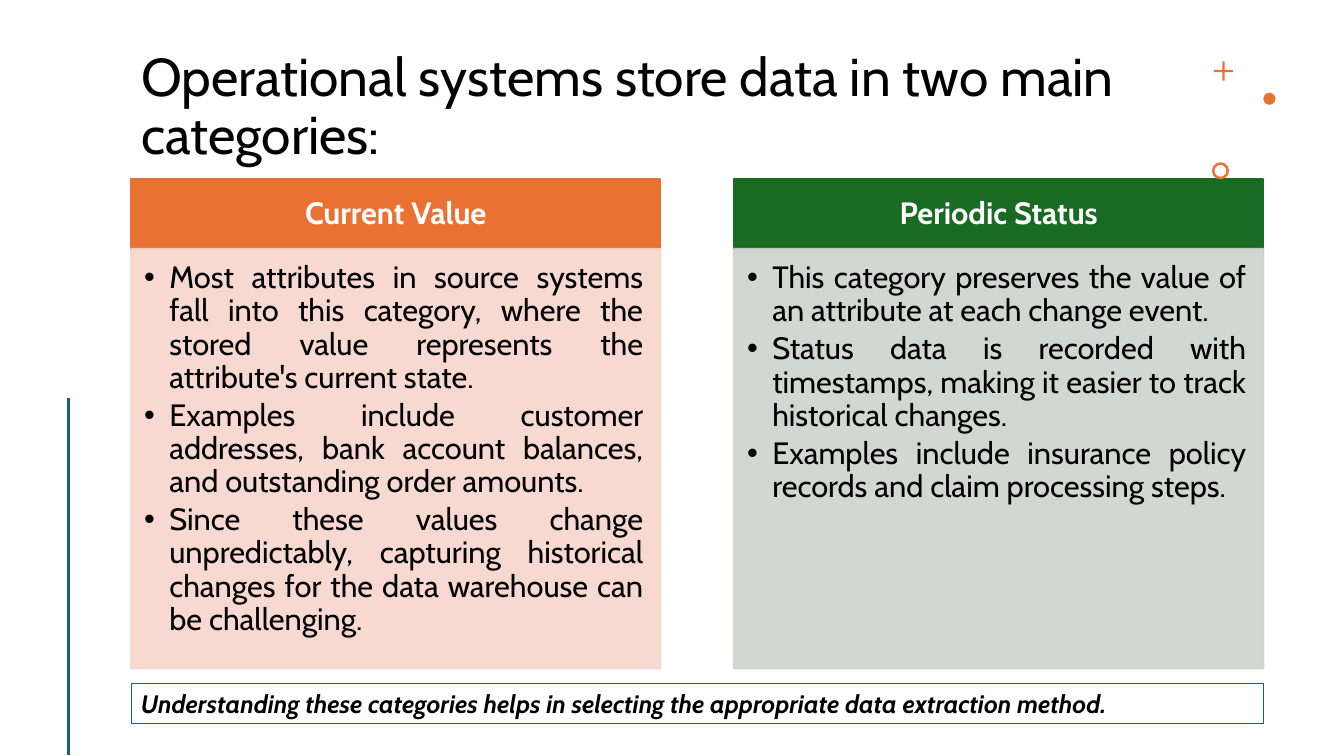
from dataclasses import dataclass

from lxml import etree
from pptx import Presentation
from pptx.dml.color import RGBColor
from pptx.enum.shapes import MSO_CONNECTOR, MSO_SHAPE
from pptx.enum.text import MSO_ANCHOR, MSO_AUTO_SIZE, PP_ALIGN
from pptx.oxml.ns import qn
from pptx.util import Inches, Pt

LEFT, CENTER, JUSTIFY = PP_ALIGN.LEFT, PP_ALIGN.CENTER, PP_ALIGN.JUSTIFY
TOP, MIDDLE = MSO_ANCHOR.TOP, MSO_ANCHOR.MIDDLE
FONT = "Cabin"
COLORS = {
    "orange": "E97132",
    "green": "196B24",
    "pink": "F7D5CE",
    "sage": "CCD4CD",
    "blue": "156082",
    "black": "000000",
    "white": "FFFFFF",
}
COLUMN_LEFT, COLUMN_STEP, COLUMN_WIDTH = 1.3, 5.98, 5.25
HEADER_TOP, HEADER_HEIGHT, BODY_HEIGHT = 1.78, 0.69, 4.16


@dataclass
class Category:
    heading: str
    points: list[str]
    header_color: str
    body_color: str


@dataclass
class Ornament:
    kind: MSO_SHAPE
    left: float
    top: float
    size: float
    adjustment: float | None = None


CATEGORIES = [
    Category(
        "Current Value",
        [
            "Most attributes in source systems fall into this category, where the "
            "stored value represents the attribute's current state.",
            "Examples include customer addresses, bank account balances, and "
            "outstanding order amounts.",
            "Since these values change unpredictably, capturing historical changes "
            "for the data warehouse can be challenging.",
        ],
        "orange",
        "pink",
    ),
    Category(
        "Periodic Status",
        [
            "This category preserves the value of an attribute at each change event.",
            "Status data is recorded with timestamps, making it easier to track "
            "historical changes.",
            "Examples include insurance policy records and claim processing steps.",
        ],
        "green",
        "sage",
    ),
]
ORNAMENTS = [
    Ornament(MSO_SHAPE.CROSS, 12.04, 0.61, 0.19, 0.44),
    Ornament(MSO_SHAPE.OVAL, 12.53, 0.92, 0.12),
    Ornament(MSO_SHAPE.DONUT, 12.02, 1.61, 0.17, 0.15),
]


def rgb(name: str) -> RGBColor:
    return RGBColor.from_string(COLORS[name])


def place(shape, left: float, top: float, width: float, height: float) -> None:
    shape.left, shape.top = Inches(left), Inches(top)
    shape.width, shape.height = Inches(width), Inches(height)


def write(shape, text: str, size: float, align: PP_ALIGN, anchor: MSO_ANCHOR,
          color: str = "black", bold: bool = False, italic: bool = False,
          line_spacing: float = 0.9, space_after: float = 0) -> None:
    """Fill the shape with one paragraph per line of text and format it."""
    frame = shape.text_frame
    frame.text = text
    frame.word_wrap = True
    frame.auto_size = MSO_AUTO_SIZE.NONE
    frame.vertical_anchor = anchor
    for paragraph in frame.paragraphs:
        paragraph.alignment = align
        paragraph.line_spacing = line_spacing
        paragraph.space_before = Pt(0)
        paragraph.space_after = Pt(space_after)
        for run in paragraph.runs:
            font = run.font
            font.name, font.size = FONT, Pt(size)
            font.bold, font.italic = bold, italic
            font.color.rgb = rgb(color)


def set_insets(shape, left: float, top: float, right: float, bottom: float) -> None:
    frame = shape.text_frame
    frame.margin_left, frame.margin_top = Inches(left), Inches(top)
    frame.margin_right, frame.margin_bottom = Inches(right), Inches(bottom)


def paint(shape, color: str, opacity: int = 100) -> None:
    """Give fill and outline the same colour and opacity in percent."""
    shape.fill.solid()
    shape.fill.fore_color.rgb = rgb(color)
    shape.line.color.rgb = rgb(color)
    shape.line.width = Pt(1.5)
    if opacity < 100:
        for element in shape._element.spPr.iter(qn("a:srgbClr")):
            etree.SubElement(element, qn("a:alpha"), val=str(opacity * 1000))


def fill_column(header, body, category: Category, left: float) -> None:
    place(header, left, HEADER_TOP, COLUMN_WIDTH, HEADER_HEIGHT)
    paint(header, category.header_color)
    set_insets(header, 0.17, 0.1, 0.17, 0.1)
    write(header, category.heading, 22, CENTER, MIDDLE, "white", bold=True)

    place(body, left, HEADER_TOP + HEADER_HEIGHT, COLUMN_WIDTH, BODY_HEIGHT)
    paint(body, category.body_color, opacity=90)
    set_insets(body, 0.13, 0.13, 0.17, 0.19)
    write(body, "\n".join(category.points), 22, JUSTIFY, TOP, space_after=3.3)
    for paragraph in body.text_frame.paragraphs:
        properties = paragraph._p.get_or_add_pPr()
        properties.set("marL", str(Inches(0.25)))
        properties.set("indent", str(-Inches(0.25)))
        etree.SubElement(properties, qn("a:buChar"), char="•")


def add_ornament(slide, ornament: Ornament) -> None:
    size = Inches(ornament.size)
    shape = slide.shapes.add_shape(
        ornament.kind, Inches(ornament.left), Inches(ornament.top), size, size)
    shape.shadow.inherit = False
    shape.fill.solid()
    shape.fill.fore_color.rgb = rgb("orange")
    shape.line.fill.background()
    if ornament.adjustment is not None:
        shape.adjustments[0] = ornament.adjustment


def add_side_line(slide) -> None:
    line = slide.shapes.add_connector(
        MSO_CONNECTOR.STRAIGHT, Inches(0.68), Inches(3.95), Inches(0.68), Inches(7.49))
    line.line.color.rgb = rgb("blue")
    line.line.width = Pt(2)
    etree.SubElement(line._element.spPr, qn("a:effectLst"))


def add_takeaway(slide) -> None:
    box = slide.shapes.add_textbox(
        Inches(COLUMN_LEFT), Inches(6.78), Inches(11.23), Inches(0.4))
    box.line.color.rgb = rgb("blue")
    box.line.width = Pt(0.75)
    write(box, "Understanding these categories helps in selecting the appropriate "
          "data extraction method.", 18, LEFT, TOP, bold=True, italic=True,
          line_spacing=1.0)
    box.text_frame.auto_size = MSO_AUTO_SIZE.SHAPE_TO_FIT_TEXT


def main() -> None:
    presentation = Presentation()
    presentation.slide_width, presentation.slide_height = Inches(13.33), Inches(7.5)
    comparison_layout = presentation.slide_layouts.get_by_name("Comparison")
    slide = presentation.slides.add_slide(comparison_layout)

    title = slide.shapes.title
    place(title, COLUMN_LEFT, 0.42, 10.23, 1.31)
    write(title, "Operational systems store data in two main categories:",
          38, LEFT, MIDDLE)

    for ornament in ORNAMENTS:
        add_ornament(slide, ornament)
    add_side_line(slide)
    for index, category in enumerate(CATEGORIES):
        header = slide.placeholders[2 * index + 1]
        body = slide.placeholders[2 * index + 2]
        fill_column(header, body, category, COLUMN_LEFT + index * COLUMN_STEP)
    add_takeaway(slide)
    presentation.save("out.pptx")


if __name__ == "__main__":
    main()
